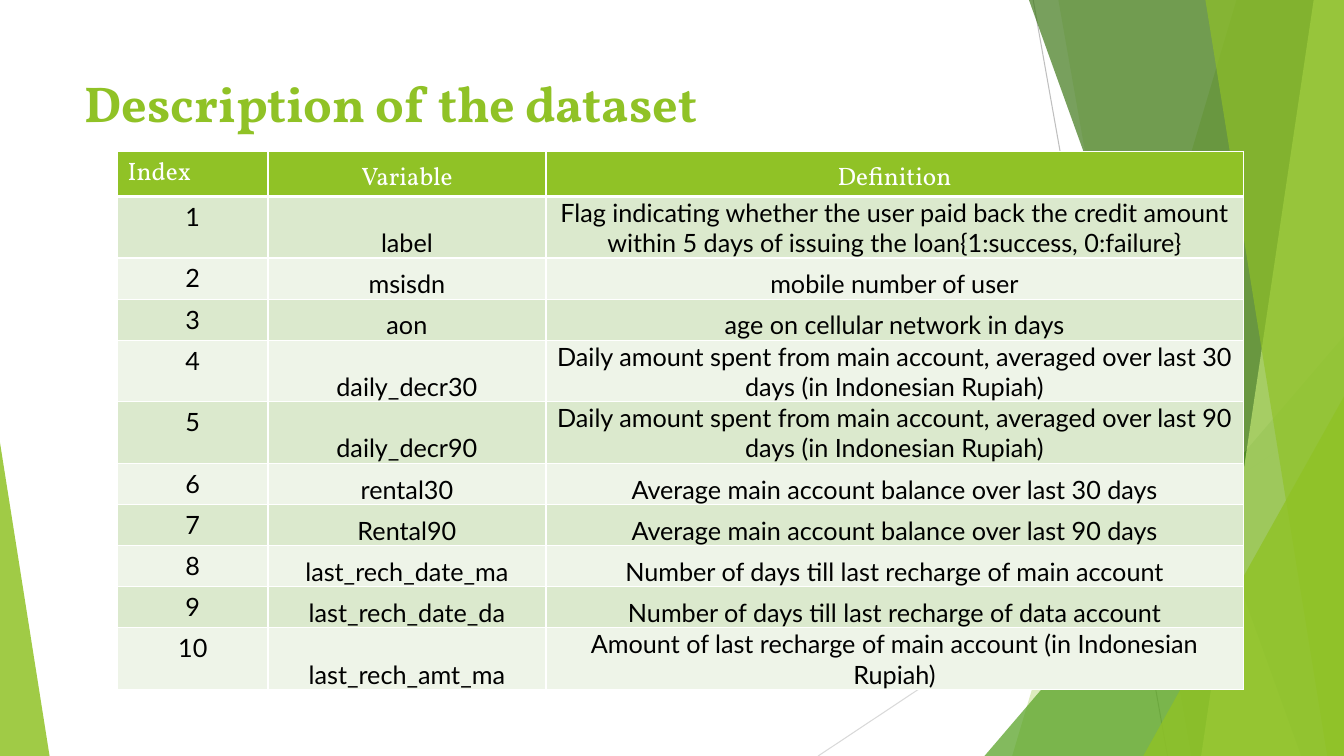
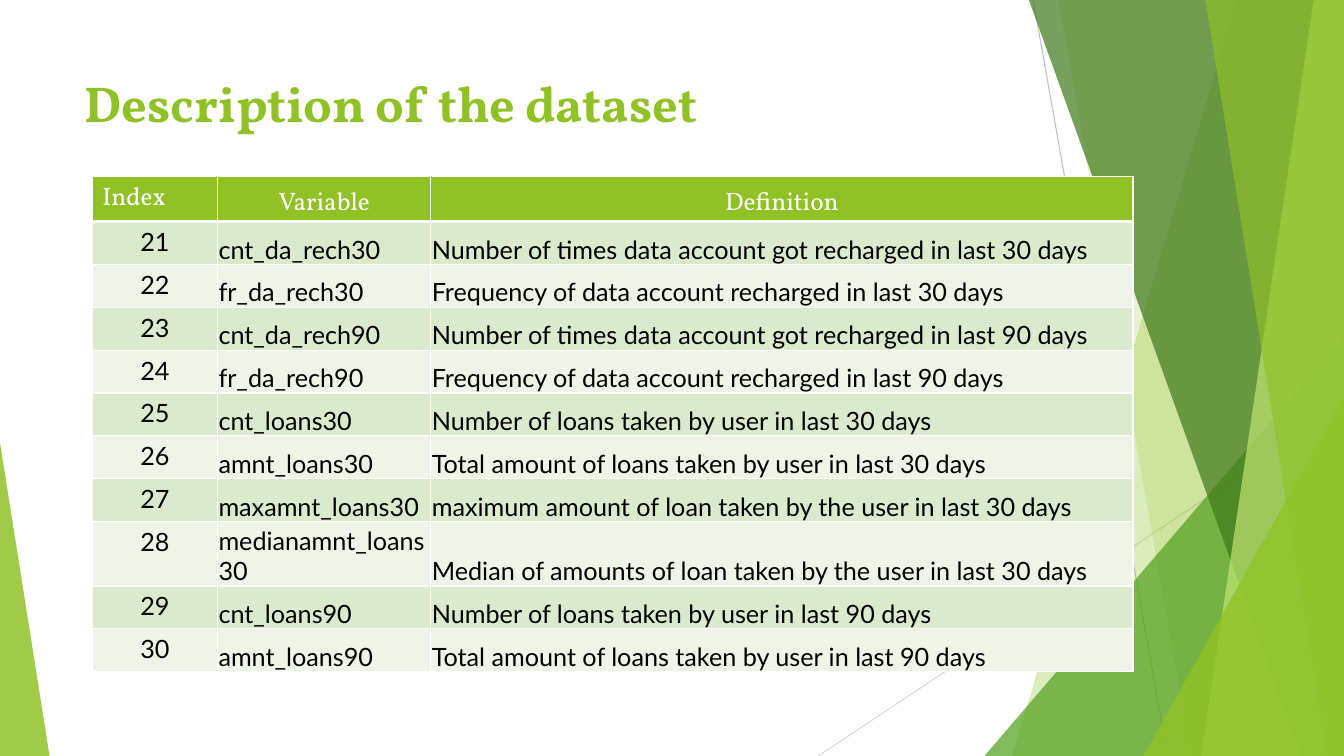
from dataclasses import dataclass

from lxml import etree
from pptx import Presentation
from pptx.dml.color import RGBColor
from pptx.enum.shapes import MSO_CONNECTOR, MSO_SHAPE
from pptx.enum.text import MSO_ANCHOR, MSO_AUTO_SIZE, PP_ALIGN
from pptx.oxml.ns import qn
from pptx.util import Emu, Inches, Pt

STRAIGHT = MSO_CONNECTOR.STRAIGHT
TRIANGLE = MSO_SHAPE.ISOSCELES_TRIANGLE
TOP, BOTTOM = MSO_ANCHOR.TOP, MSO_ANCHOR.BOTTOM
LEFT, CENTER = PP_ALIGN.LEFT, PP_ALIGN.CENTER
NO_AUTOFIT = MSO_AUTO_SIZE.NONE

GRID_COLUMNS, GRID_ROWS = 16, 9
CELL = Inches(7.5) // GRID_ROWS
TITLE_ONLY = 5


@dataclass(frozen=True)
class Theme:
    lime: str = "90C226"
    green: str = "54A021"
    forest: str = "3F7819"
    pale_lime: str = "C0E474"
    odd_row: str = "DBE9CD"
    even_row: str = "EEF4E8"
    white: str = "FFFFFF"
    black: str = "000000"
    mid_grey: str = "BFBFBF"
    light_grey: str = "D9D9D9"
    heading_font: str = "Vollkorn"
    body_font: str = "Lato"
    title_size: float = 36
    table_size: float = 18
    hairline: float = 0.75
    border: float = 1
    header_border: float = 3


THEME = Theme()


@dataclass(frozen=True)
class Ray:
    start: tuple[float, float]
    end: tuple[float, float]
    color: str


@dataclass(frozen=True)
class Band:
    """A full-height facet from a slanted left edge to the slide's right edge."""
    top_x: float
    bottom_x: float
    color: str
    opacity: int


@dataclass(frozen=True)
class Corner:
    """A right triangle standing on the slide's bottom edge."""
    left: float
    top: float
    width: float
    apex: float
    color: str
    opacity: int


@dataclass(frozen=True)
class VariableTable:
    left: float
    top: float
    columns: tuple[float, ...]
    row_height: float
    tall_height: float
    tall_rows: tuple[int, ...]
    first_index: int
    text_align: PP_ALIGN
    variables: tuple[tuple[str, str], ...]


HEADER_HEIGHT = 0.53
TITLE = "Description of the dataset"
HEADERS = ("Index", "Variable", "Definition")
TITLE_BOX = {"left": 0.89, "top": 0.8, "width": 11.28, "height": 1.73}
TIGHT_CELL = {
    "vertical_anchor": BOTTOM,
    "margin_left": Inches(0.01),
    "margin_right": Inches(0.01),
    "margin_top": Inches(0.01),
    "margin_bottom": 0,
}

BACKDROP = (
    Ray((12.3, 0), (13.9, GRID_ROWS), THEME.mid_grey),
    Ray((GRID_COLUMNS, 4.84), (9.74, GRID_ROWS), THEME.light_grey),
    Band(14.72, 12.05, THEME.lime, 30),
    Band(12.6, 14.18, THEME.lime, 20),
    Corner(11.72, 4, 4.28, 1, THEME.green, 72),
    Band(12.25, 15.49, THEME.forest, 70),
    Band(15.64, 14.3, THEME.pale_lime, 70),
    Band(14.35, 15.8, THEME.lime, 65),
    Corner(13.61, 4.72, 2.39, 1, THEME.lime, 80),
    Corner(0, 5.27, 0.59, 0, THEME.lime, 85),
)

TABLES = (
    VariableTable(
        1.4, 1.8, (1.79, 3.31, 8.3), 0.49, 0.73, (1, 4, 5, 10), 1, CENTER,
        (
            ("label", "Flag indicating whether the user paid back the credit amount "
                      "within 5 days of issuing the loan{1:success, 0:failure}"),
            ("msisdn", "mobile number of user"),
            ("aon", "age on cellular network in days"),
            ("daily_decr30", "Daily amount spent from main account, averaged over "
                             "last 30 days (in Indonesian Rupiah)"),
            ("daily_decr90", "Daily amount spent from main account, averaged over "
                             "last 90 days (in Indonesian Rupiah)"),
            ("rental30", "Average main account balance over last 30 days"),
            ("Rental90", "Average main account balance over last 90 days"),
            ("last_rech_date_ma", "Number of days till last recharge of main account"),
            ("last_rech_date_da", "Number of days till last recharge of data account"),
            ("last_rech_amt_ma", "Amount of last recharge of main account "
                                 "(in Indonesian Rupiah)"),
        ),
    ),
    VariableTable(
        1.1, 2.1, (1.49, 2.54, 8.36), 0.51, 0.77, (8,), 21, LEFT,
        (
            ("cnt_da_rech30", "Number of times data account got recharged in last 30 days"),
            ("fr_da_rech30", "Frequency of data account recharged in last 30 days"),
            ("cnt_da_rech90", "Number of times data account got recharged in last 90 days"),
            ("fr_da_rech90", "Frequency of data account recharged in last 90 days"),
            ("cnt_loans30", "Number of loans taken by user in last 30 days"),
            ("amnt_loans30", "Total amount of loans taken by user in last 30 days"),
            ("maxamnt_loans30", "maximum amount of loan taken by the user in last 30 days"),
            ("medianamnt_loans30", "Median of amounts of loan taken by the user in last 30 days"),
            ("cnt_loans90", "Number of loans taken by user in last 90 days"),
            ("amnt_loans90", "Total amount of loans taken by user in last 90 days"),
        ),
    ),
)


def grid(cells: float) -> Emu:
    return Emu(round(cells * CELL))


def set_attributes(target, values: dict) -> None:
    for name, value in values.items():
        setattr(target, name, value)


def format_text(frame, text: str, align: PP_ALIGN, color: str, font: dict) -> None:
    para = frame.paragraphs[0]
    para.alignment = align
    span = para.add_run()
    span.text = text
    set_attributes(span.font, font)
    span.font.color.rgb = RGBColor.from_string(color)


def fill_facet(shape, color: str, opacity: int) -> None:
    shape.shadow.inherit = False
    shape.line.fill.background()
    shape.fill.solid()
    shape.fill.fore_color.rgb = RGBColor.from_string(color)
    color_node = shape.fill._xPr.find(qn("a:solidFill"))[0]
    etree.SubElement(color_node, qn("a:alpha")).set("val", str(opacity * 1000))


def draw_ray(shapes, ray: Ray):
    line = shapes.add_connector(STRAIGHT, *map(grid, ray.start + ray.end))
    line.line.color.rgb = RGBColor.from_string(ray.color)
    line.line.width = Pt(THEME.hairline)
    etree.SubElement(line._element.spPr, qn("a:effectLst"))
    return line


def draw_band(shapes, band: Band):
    outline = shapes.build_freeform(grid(band.top_x), 0)
    corners = ((GRID_COLUMNS, 0), (GRID_COLUMNS, GRID_ROWS), (band.bottom_x, GRID_ROWS))
    outline.add_line_segments([(grid(x), grid(y)) for x, y in corners], close=True)
    facet = outline.convert_to_shape()
    fill_facet(facet, band.color, band.opacity)
    return facet


def draw_corner(shapes, corner: Corner):
    box = (corner.left, corner.top, corner.width, GRID_ROWS - corner.top)
    facet = shapes.add_shape(TRIANGLE, *map(grid, box))
    facet.adjustments[0] = corner.apex
    fill_facet(facet, corner.color, corner.opacity)
    return facet


def add_backdrop(page, layout) -> None:
    """Draw the facets through a page, then hand them to the layout all pages share."""
    painters = {Ray: draw_ray, Band: draw_band, Corner: draw_corner}
    for number, item in enumerate(BACKDROP):
        element = painters[type(item)](page.shapes, item)._element
        element.xpath(".//p:cNvPr")[0].set("id", str(100 + number))
        layout.shapes._spTree.insert(2 + number, element)


def add_title(page) -> None:
    title = page.shapes.title
    set_attributes(title, {name: grid(cells) for name, cells in TITLE_BOX.items()})
    frame = title.text_frame
    set_attributes(frame, {"word_wrap": True, "vertical_anchor": TOP, "auto_size": NO_AUTOFIT})
    format_text(frame, TITLE, LEFT, THEME.lime, {
        "name": THEME.heading_font, "size": Pt(THEME.title_size), "bold": True})


def set_borders(cell, row: int) -> None:
    widths = dict.fromkeys(("lnL", "lnR", "lnT", "lnB"), THEME.border)
    if row < 2:
        widths["lnT" if row else "lnB"] = THEME.header_border
    properties = cell._tc.get_or_add_tcPr()
    for position, (side, width) in enumerate(widths.items()):
        border = etree.Element(qn(f"a:{side}"), w=str(Pt(width)))
        fill = etree.SubElement(border, qn("a:solidFill"))
        etree.SubElement(fill, qn("a:srgbClr"), val=THEME.white)
        properties.insert(position, border)


def format_cell(cell, text: str, row: int, column: int, body_align: PP_ALIGN) -> None:
    if row == 0:
        fill, color, font = THEME.lime, THEME.white, THEME.heading_font
        align = CENTER if column else LEFT
    else:
        fill = THEME.odd_row if row % 2 else THEME.even_row
        color, font = THEME.black, THEME.body_font
        align = body_align if column else CENTER
    if column:
        set_attributes(cell, TIGHT_CELL)
    cell.fill.solid()
    cell.fill.fore_color.rgb = RGBColor.from_string(fill)
    set_borders(cell, row)
    format_text(cell.text_frame, text, align, color, {
        "name": font, "size": Pt(THEME.table_size), "bold": False})


def add_variable_table(page, content: VariableTable) -> None:
    heights = [HEADER_HEIGHT] + [
        content.tall_height if row in content.tall_rows else content.row_height
        for row in range(1, len(content.variables) + 1)]
    rows = [HEADERS] + [
        (str(index), *variable)
        for index, variable in enumerate(content.variables, content.first_index)]
    box = (content.left, content.top, sum(content.columns), sum(heights))
    table = page.shapes.add_table(len(rows), len(HEADERS), *map(grid, box)).table
    table.horz_banding = False
    for column, width in zip(table.columns, content.columns):
        column.width = grid(width)
    for row, (texts, height) in enumerate(zip(rows, heights)):
        table.rows[row].height = grid(height)
        for column, text in enumerate(texts):
            format_cell(table.cell(row, column), text, row, column, content.text_align)


def main() -> None:
    deck = Presentation()
    deck.slide_width, deck.slide_height = grid(GRID_COLUMNS), grid(GRID_ROWS)
    layout = deck.slide_layouts[TITLE_ONLY]
    pages = [deck.slides.add_slide(layout) for _ in TABLES]
    add_backdrop(pages[0], layout)
    for page, content in zip(pages, TABLES):
        add_title(page)
        add_variable_table(page, content)
    deck.save("out.pptx")


if __name__ == "__main__":
    main()
